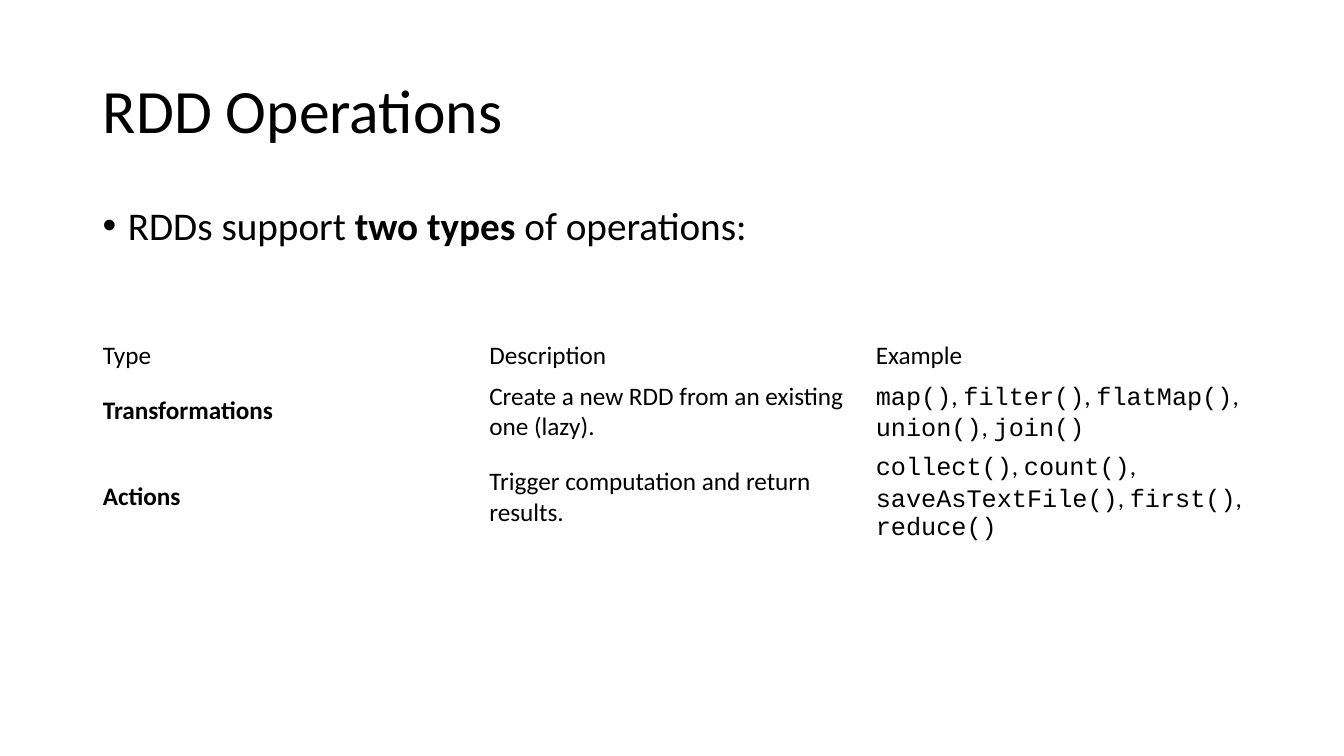
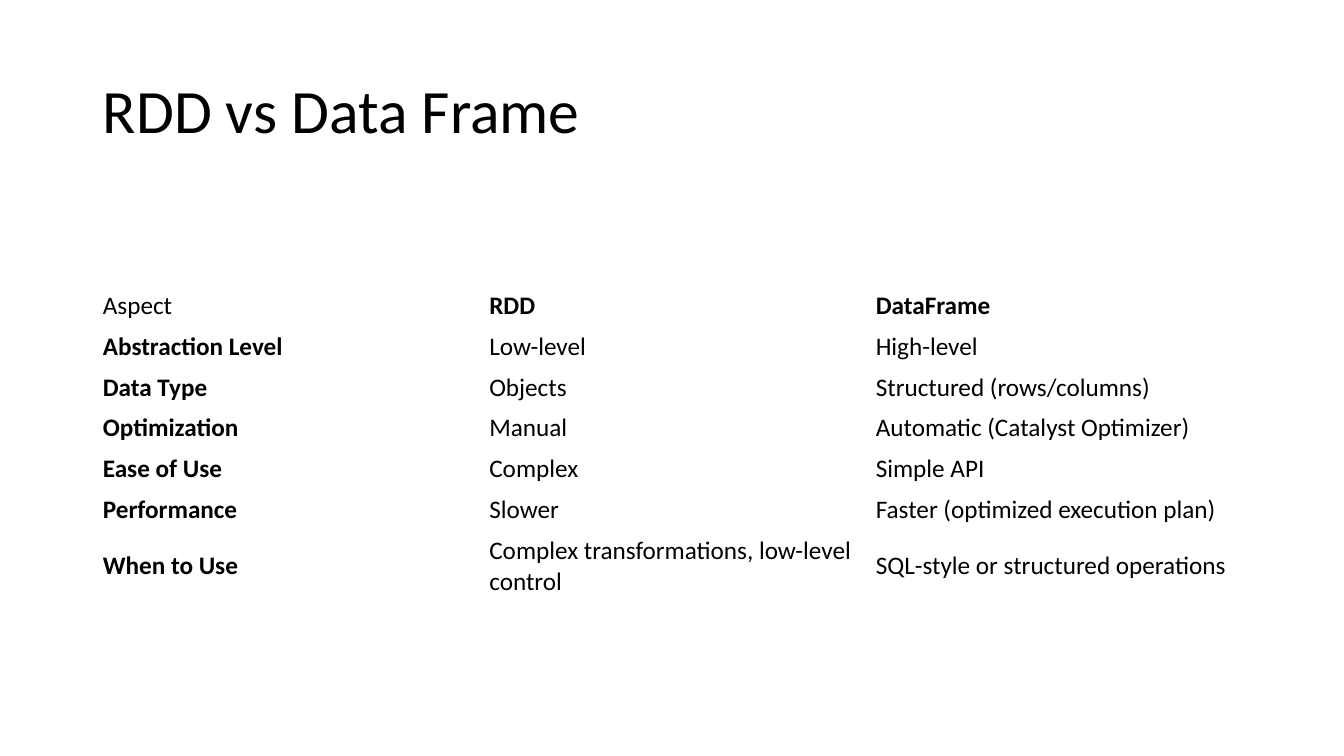
from pptx import Presentation
from pptx.dml.color import RGBColor
from pptx.enum import text
from pptx.oxml import parse_xml
from pptx.oxml.ns import nsdecls
from pptx.util import Inches, Pt

COLORS = {"ink": "000000"}
BODY, CODE = "Calibri", "Courier New"
LEFT, WIDTH = Inches(0.92), Inches(11.5)


def write(par, words, size):
    """Fill a paragraph; *words* are bold and `words` are code."""
    mark = "`" if "`" in words else "*"
    for i, piece in enumerate(words.split(mark)):
        if not piece:
            continue
        run = par.add_run()
        run.text = piece
        marked = i % 2 == 1
        run.font.name = CODE if marked and mark == "`" else BODY
        run.font.bold = marked and mark == "*"
        run.font.size = Pt(size)
        run.font.color.rgb = RGBColor.from_string(COLORS["ink"])


slides = [
    {
        "title": "RDD Operations",
        "bullet": "RDDs support *two types* of operations:",
        "top": 3.33,
        "heights": [0.4, 0.7, 1],
        "rows": [
            ["Type", "Description", "Example"],
            ["*Transformations*", "Create a new RDD from an existing one (lazy).",
             "`map()`, `filter()`, `flatMap()`, `union()`, `join()`"],
            ["*Actions*", "Trigger computation and return results.",
             "`collect()`, `count()`, `saveAsTextFile()`, `first()`, `reduce()`"],
        ],
    },
    {
        "title": "RDD vs Data Frame",
        "bullet": None,
        "top": 2.83,
        "heights": [0.4] * 6 + [0.7],
        "rows": [
            ["Aspect", "*RDD*", "*DataFrame*"],
            ["*Abstraction Level*", "Low-level", "High-level"],
            ["*Data Type*", "Objects", "Structured (rows/columns)"],
            ["*Optimization*", "Manual", "Automatic (Catalyst Optimizer)"],
            ["*Ease of Use*", "Complex", "Simple API"],
            ["*Performance*", "Slower", "Faster (optimized execution plan)"],
            ["*When to Use*", "Complex transformations, low-level control",
             "SQL-style or structured operations"],
        ],
    },
]

deck = Presentation()
deck.slide_width, deck.slide_height = Inches(13.33), Inches(7.5)

for spec_row in slides:
    slide = deck.slides.add_slide(deck.slide_layouts[5])

    title = slide.shapes.title
    title.left, title.top = LEFT, Inches(0.4)
    title.width, title.height = WIDTH, Inches(1.45)
    frame = title.text_frame
    frame.auto_size = text.MSO_AUTO_SIZE.NONE
    frame.vertical_anchor = text.MSO_ANCHOR.MIDDLE
    par = frame.paragraphs[0]
    par.alignment = text.PP_ALIGN.LEFT
    par.line_spacing = 0.9
    write(par, spec_row["title"], 44)

    if spec_row["bullet"]:
        box = slide.shapes.add_textbox(LEFT, Inches(2), WIDTH, Inches(1))
        box.text_frame.word_wrap = True
        par = box.text_frame.paragraphs[0]
        par.line_spacing = 0.9
        props = par._p.get_or_add_pPr()
        props.set("marL", str(Inches(0.25)))
        props.set("indent", str(-Inches(0.25)))
        props.append(parse_xml(f'<a:buFont {nsdecls("a")} typeface="Arial"/>'))
        props.append(parse_xml(f'<a:buChar {nsdecls("a")} char="•"/>'))
        write(par, spec_row["bullet"], 28)

    rows, heights = spec_row["rows"], spec_row["heights"]
    table = slide.shapes.add_table(
        len(rows), len(rows[0]), LEFT, Inches(spec_row["top"]),
        WIDTH, Inches(sum(heights))).table
    table.first_row = table.horz_banding = False
    for r, (row, height) in enumerate(zip(rows, heights)):
        table.rows[r].height = Inches(height)
        for c, words in enumerate(row):
            cell = table.cell(r, c)
            cell.fill.background()
            cell.vertical_anchor = text.MSO_ANCHOR.MIDDLE
            write(cell.text_frame.paragraphs[0], words, 18)

deck.save("out.pptx")
